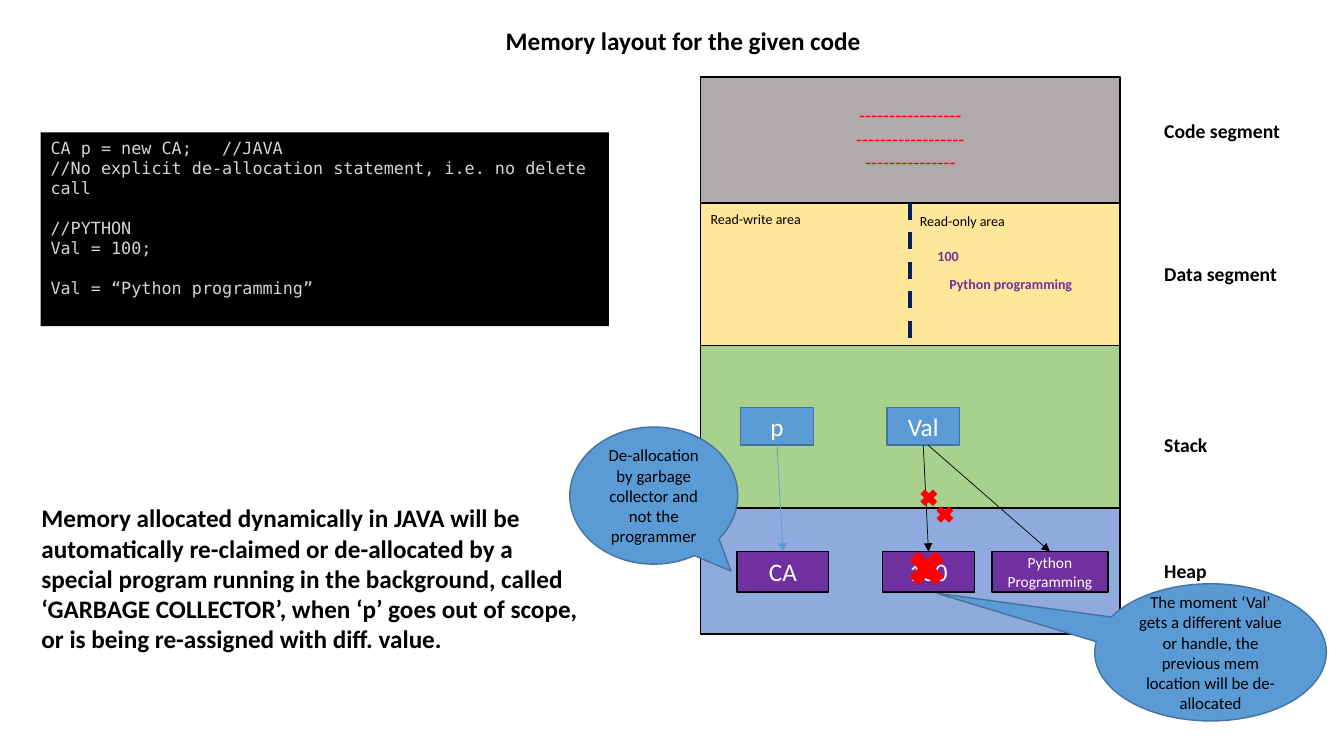
import pptx
import pptx.util
import pptx.dml.color
import pptx.enum.dml
import pptx.enum.shapes
import pptx.enum.text
import pptx.oxml.ns
import lxml.etree

Pt = pptx.util.Pt
SHAPE = pptx.enum.shapes.MSO_SHAPE
ALIGN = pptx.enum.text.PP_ALIGN
ANCHOR = pptx.enum.text.MSO_ANCHOR

BLACK, WHITE, RED = "000000", "FFFFFF", "FF0000"
PURPLE, BLUE, BLUE_EDGE = "7030A0", "5B9BD5", "43739E"
TOP, BOTTOM = 0, 2

SEGMENTS_LEFT, SEGMENTS_TOP, SEGMENTS_WIDTH = 500.5, 55, 299.5
LABELS_LEFT = 824.5
SEGMENTS = [
    ("Code segment", 90, "AFABAB", 81.5),
    ("Data segment", 102, "FFE699", 183.5),
    ("Stack", 116, "A9D18E", 305.5),
    ("Heap", 90, "8FAADC", 396),
]
TITLE = "Memory layout for the given code"
EXPLANATION = (
    "Memory allocated dynamically in JAVA will be automatically re-claimed or "
    "de-allocated by a special program running in the background, called "
    "‘GARBAGE COLLECTOR’, when ‘p’ goes out of scope, or is being re-assigned "
    "with diff. value."
)
CODE_BLOCKS = [
    ["CA p = new CA;   //JAVA",
     "//No explicit de-allocation statement, i.e. no delete call"],
    ["//PYTHON", "Val = 100;"],
    ["Val = “Python programming”"],
]
CODE_LINE_HEIGHT = 14
INSTRUCTIONS = ["-----------------", "------------------", "---------------"]
AREAS = [("Read-write area", 500.5, 147), ("Read-only area", 650, 148.5)]
CONSTANTS = [("100", 662.5, 173.5, 34), ("Python programming", 671, 193, 112)]
VARIABLES = [("p", 529), ("Val", 633.5)]
HEAP_OBJECTS = [
    ("CA", 526.5, 65.5, 18),
    ("100", 630.5, 65.5, 18),
    ("Python Programming", 708.5, 83, 11),
]
CROSSES = [(655.5, 348, 16, 15), (645, 389.5, 34, 33), (667, 360, 16, 15)]
COLLECTOR_NOTE = (
    "De-allocation by garbage collector and not the programmer",
    (407, 305, 120, 98), (0.46, 0.55))
REASSIGN_NOTE = (
    "The moment ‘Val’ gets a different value or handle, the previous mem "
    "location will be de-allocated",
    (782, 417, 165.5, 98), (-1.18, -0.43))

deck = pptx.Presentation()
deck.slide_width, deck.slide_height = Pt(960), Pt(540)
slide = deck.slides.add_slide(deck.slide_layouts[6])


def color(value):
    return pptx.dml.color.RGBColor.from_string(value)


def write(owner, lines, size, ink, bold=False, align=ALIGN.LEFT, font="Calibri"):
    frame = owner.text_frame
    frame.word_wrap = True
    frame.text = "\n".join(lines)
    for paragraph in frame.paragraphs:
        paragraph.alignment = align
        paragraph.font.name = font
        paragraph.font.size = Pt(size)
        paragraph.font.bold = bold
        paragraph.font.color.rgb = color(ink)
    return frame


def add_text(lines, box, size, ink=BLACK, bold=False, align=ALIGN.LEFT):
    text = slide.shapes.add_textbox(*map(Pt, box))
    frame = write(text, lines, size, ink, bold, align)
    frame.auto_size = pptx.enum.text.MSO_AUTO_SIZE.SHAPE_TO_FIT_TEXT


def add_block(kind, box, fill, edge=None):
    block = slide.shapes.add_shape(kind, *map(Pt, box))
    block.shadow.inherit = False
    block.fill.solid()
    block.fill.fore_color.rgb = color(fill)
    if edge:
        block.line.color.rgb = color(edge)
        block.line.width = Pt(1)
    else:
        block.line.fill.background()
    return block


def add_labelled(kind, text, box, fill, edge, size, ink):
    block = add_block(kind, box, fill, edge)
    frame = write(block, [text], size, ink, align=ALIGN.CENTER)
    frame.vertical_anchor = ANCHOR.MIDDLE
    return block


def add_note(text, box, tip):
    note = add_labelled(SHAPE.OVAL_CALLOUT, text, box, BLUE, BLUE_EDGE, 12, BLACK)
    note.adjustments[0], note.adjustments[1] = tip


def add_line(start, end, ink, width, arrow=False):
    line = slide.shapes.add_connector(
        pptx.enum.shapes.MSO_CONNECTOR.STRAIGHT, *map(Pt, start + end))
    line.line.color.rgb = color(ink)
    line.line.width = Pt(width)
    qn = pptx.oxml.ns.qn
    if arrow:
        outline = line.line._get_or_add_ln()
        lxml.etree.SubElement(outline, qn("a:tailEnd"), type="triangle")
    lxml.etree.SubElement(line._element.spPr, qn("a:effectLst"))
    return line


def add_join(source, source_side, target, target_side, ink, width, arrow=False):
    line = add_line((0, 0), (0, 0), ink, width, arrow)
    line.begin_connect(source, source_side)
    line.end_connect(target, target_side)
    return line


segments = {}
segment_top = SEGMENTS_TOP
for name, height, fill, label_top in SEGMENTS:
    segments[name] = add_block(
        SHAPE.RECTANGLE, (SEGMENTS_LEFT, segment_top, SEGMENTS_WIDTH, height), fill, BLACK)
    add_text([name], (LABELS_LEFT, label_top, 115, 24.5), 14, bold=True)
    segment_top += height

add_text(INSTRUCTIONS, (559.5, 70, 181.5, 58), 14, RED, align=ALIGN.CENTER)
data = segments["Data segment"]
divider = add_join(data, TOP, data, BOTTOM, "002060", 3)
divider.line.dash_style = pptx.enum.dml.MSO_LINE.DASH
for area, left, top in AREAS:
    add_text([area], (left, top, 80.5, 19.5), 10)
add_text([TITLE], (290, 14.5, 396, 29), 18, bold=True, align=ALIGN.CENTER)
add_text([EXPLANATION], (22.5, 355.5, 404.5, 117), 18, bold=True)

variables = [
    add_labelled(SHAPE.RECTANGLE, text, (left, 291, 52, 27), BLUE, BLUE_EDGE, 18, WHITE)
    for text, left in VARIABLES]
heap_objects = [
    add_labelled(SHAPE.RECTANGLE, text, (left, 394, width, 29), PURPLE, BLACK, size, WHITE)
    for text, left, width, size in HEAP_OBJECTS]
p, val = variables
ca, hundred, phrase = heap_objects
add_join(p, BOTTOM, ca, TOP, BLUE, 0.5, arrow=True)
add_join(val, BOTTOM, hundred, TOP, BLACK, 0.5, arrow=True)
new_handle = add_line((663, 318), (750, 394), BLACK, 0.5, arrow=True)
new_handle.end_connect(phrase, TOP)

add_note(*COLLECTOR_NOTE)

code = add_block(SHAPE.RECTANGLE, (29, 94.5, 406, 138.5), BLACK)
code_frame = write(code, sum(CODE_BLOCKS, []), 12, "D4D4D4", font="DejaVu Sans Mono")
code_frame.vertical_anchor = ANCHOR.TOP
first_line = 0
for block in CODE_BLOCKS:
    if first_line:
        code_frame.paragraphs[first_line].space_before = Pt(CODE_LINE_HEIGHT)
    first_line += len(block)

for cross in CROSSES:
    add_block(SHAPE.MATH_MULTIPLY, cross, RED, RED)
add_note(*REASSIGN_NOTE)
for text, left, top, width in CONSTANTS:
    add_text([text], (left, top, width, 19.5), 10, PURPLE, bold=True)

deck.save("out.pptx")
